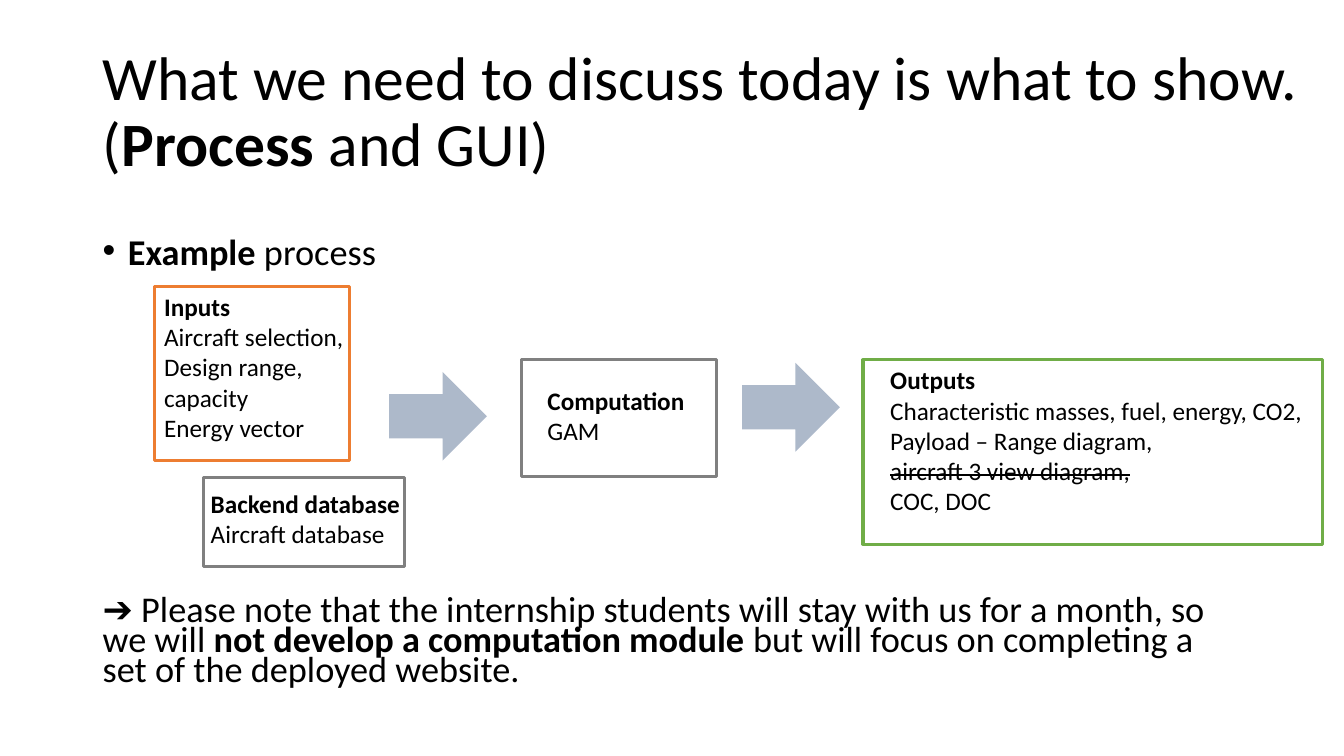
from pptx import Presentation
from pptx.dml.color import RGBColor
from pptx.enum.shapes import MSO_SHAPE as Shape
from pptx.enum.text import MSO_ANCHOR as Anchor, MSO_AUTO_SIZE as AutoSize, PP_ALIGN as Align
from pptx.oxml.ns import qn
from pptx.util import Inches, Pt
from lxml.etree import SubElement

# Content: each line is a list of (text, style) pieces
TITLE = [[("What we need to discuss today is what to show.", ""), ("\v", ""),
          ("(", ""), ("Process ", "bold"), ("and GUI)", "")]]
EXAMPLE = [[("Example", "bold"), (" process", "")]]
NOTE = [[("➔ Please note that the internship students will stay with us "
          "for a month, so we will ", ""),
         ("not develop a computation module ", "bold"),
         ("but will focus on completing a set of the deployed website.", "")]]

# Heading, lines, (left, top, width, height), (left, top) text inset, outline
STAGES = [
    ("Inputs",
     [("Aircraft selection,", ""), ("Design range, capacity", ""), ("Energy vector", "")],
     (1.53, 2.84, 1.94, 1.73), (0.1, 0.05), "ED7D31"),
    ("Computation", [("GAM", "")],
     (5.17, 3.57, 1.94, 1.16), (0.26, 0.25), "808080"),
    ("Outputs",
     [("Characteristic masses, fuel, energy, CO2,", ""), ("Payload – Range diagram,", ""),
      ("aircraft 3 view diagram,", "strike"), ("COC, DOC", "")],
     (8.56, 3.57, 4.56, 1.83), (0.27, 0.05), "70AD47"),
    ("Backend database", [("Aircraft database", "")],
     (2.02, 4.74, 1.99, 0.88), (0.07, 0.1), "808080"),
]
ARROWS = [(3.86, 3.69), (7.36, 3.6)]
ARROW_SIZE = (0.97, 0.88)
ARROW_FILL = "ADB9CA"
FONT, INK = "Calibri", "000000"


def color(value):
    return RGBColor.from_string(value)


def inches(*lengths):
    return [Inches(length) for length in lengths]


def write(frame, lines, size, spacing=1.0):
    frame.word_wrap = True
    frame.auto_size = AutoSize.NONE
    for index, pieces in enumerate(lines):
        line = frame.add_paragraph() if index else frame.paragraphs[0]
        line.alignment = Align.LEFT
        line.line_spacing = spacing
        for text, style in pieces:
            if text == "\v":
                line.add_line_break()
                continue
            run = line.add_run()
            run.text = text
            run.font.name, run.font.size = FONT, Pt(size)
            run.font.color.rgb = color(INK)
            run.font.bold = style == "bold"
            if style == "strike":
                run._r.get_or_add_rPr().set("strike", "sngStrike")


def add_bullet(paragraph):
    props = paragraph._p.get_or_add_pPr()
    props.set("marL", str(Inches(0.25)))
    props.set("indent", str(-Inches(0.25)))
    SubElement(props, qn("a:buFont")).set("typeface", "Arial")
    SubElement(props, qn("a:buChar")).set("char", "•")


deck = Presentation()
deck.slide_width, deck.slide_height = inches(13.33, 7.5)
slide = deck.slides.add_slide(deck.slide_layouts[5])
shapes = slide.shapes

# Title
title = shapes.title
title.left, title.top, title.width, title.height = inches(0.92, 0.4, 12.19, 1.45)
title.text_frame.vertical_anchor = Anchor.MIDDLE
write(title.text_frame, TITLE, 44, 0.9)

# Bullet above the process, note below it
example = shapes.add_textbox(*inches(0.92, 2.34, 11.5, 0.45)).text_frame
write(example, EXAMPLE, 25.9, 0.7)
add_bullet(example.paragraphs[0])
note = shapes.add_textbox(*inches(0.92, 5.88, 11.5, 1.22)).text_frame
write(note, NOTE, 25.9, 0.7)

# Process stages
for heading, details, place, (inset_left, inset_top), outline in STAGES:
    stage = shapes.add_shape(Shape.RECTANGLE, *inches(*place))
    stage.shadow.inherit = False
    stage.fill.background()
    stage.line.color.rgb = color(outline)
    stage.line.width = Pt(2.25)
    frame = stage.text_frame
    frame.vertical_anchor = Anchor.TOP
    frame.margin_left, frame.margin_top = inches(inset_left, inset_top)
    frame.margin_right = frame.margin_bottom = 0
    write(frame, [[(heading, "bold")]] + [[detail] for detail in details], 18)

# Arrows between stages
for corner in ARROWS:
    arrow = shapes.add_shape(Shape.RIGHT_ARROW, *inches(*corner, *ARROW_SIZE))
    arrow.shadow.inherit = False
    arrow.fill.solid()
    arrow.fill.fore_color.rgb = color(ARROW_FILL)
    arrow.line.fill.background()

deck.save("out.pptx")
